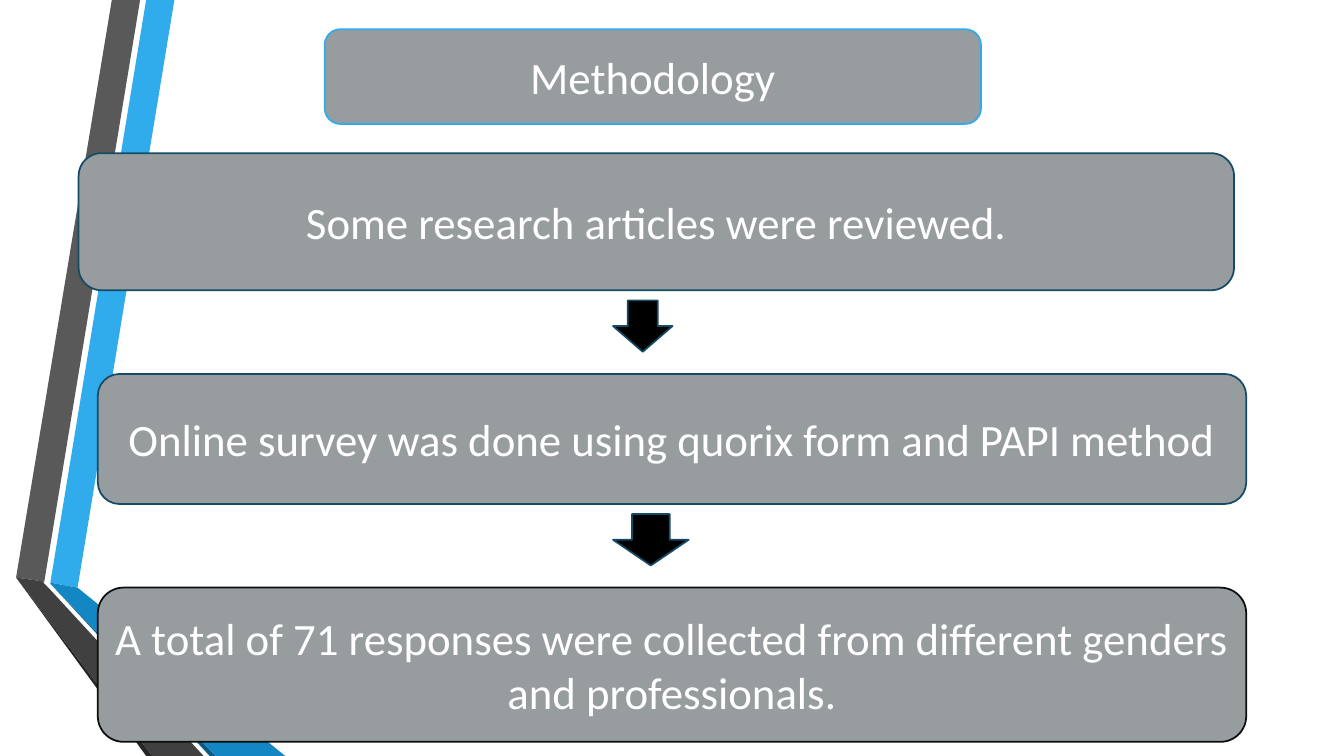
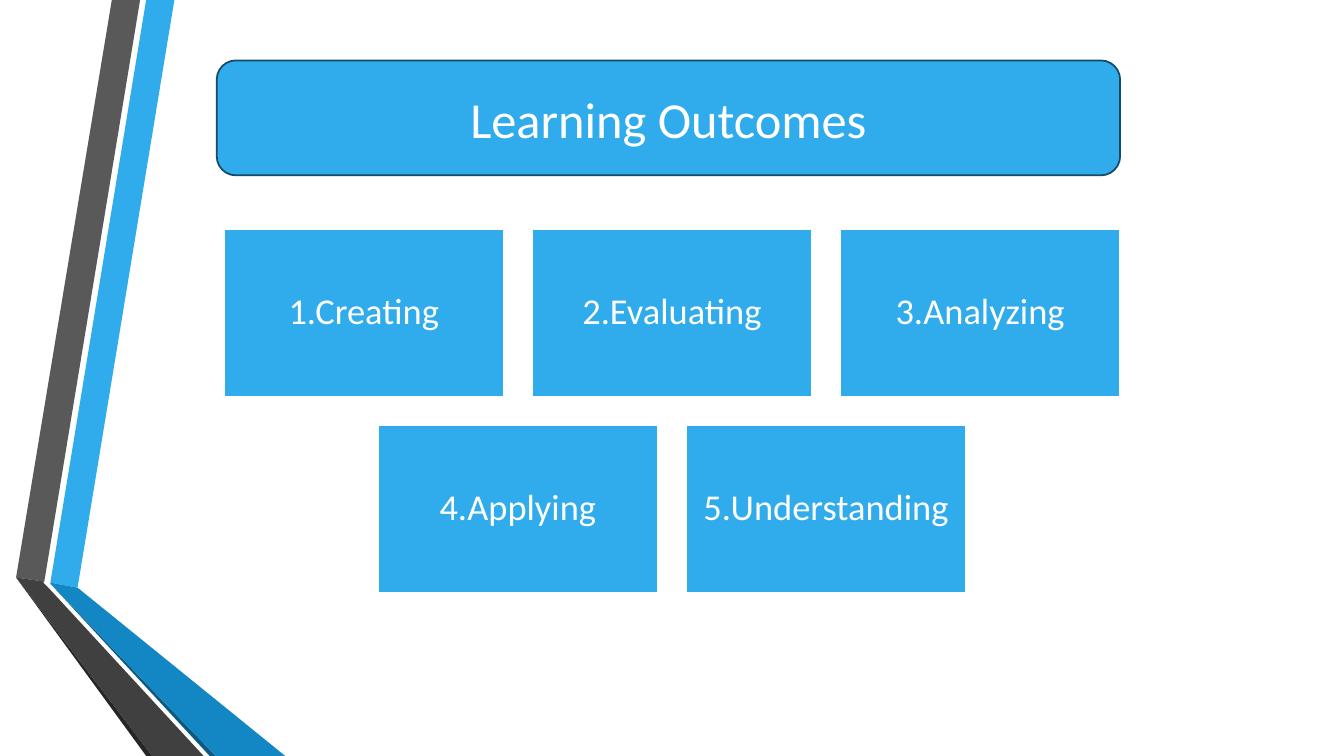
from dataclasses import dataclass

import pptx
import pptx.dml.color
import pptx.enum.shapes
import pptx.enum.text
import pptx.util

Inches = pptx.util.Inches
Preset = pptx.enum.shapes.MSO_SHAPE


@dataclass(frozen=True)
class Theme:
    """Colours, font and type sizes of the deck."""

    sky: str = "30ACEC"
    blue: str = "1287C3"
    deep_blue: str = "0C5A82"
    navy: str = "154B67"
    gray: str = "979D9F"
    slate: str = "595959"
    charcoal: str = "404040"
    shadow: str = "262626"
    ink: str = "0D0D0D"
    black: str = "000000"
    white: str = "FFFFFF"
    font: str = "Calibri"
    heading_size: int = 36
    step_size: int = 32
    tile_size: int = 26
    outline: float = 1.25


@dataclass(frozen=True)
class Box:
    """A rectangle in inches."""

    left: float
    top: float
    width: float
    height: float

    def lengths(self):
        """Return the rectangle as four lengths."""
        return [Inches(value) for value in (self.left, self.top, self.width, self.height)]


THEME = Theme()

RIBBON = [
    (THEME.sky, [(0.5, 5.78), (0.77, 5.83), (1.73, 0), (1.45, 0)]),
    (THEME.slate, [(1.39, 0), (1.11, 0), (0.16, 5.73), (0.44, 5.77)]),
    (THEME.shadow, [(0.16, 5.73), (1.45, 7.5), (1.51, 7.5)]),
    (THEME.deep_blue, [(0.5, 5.79), (2.08, 7.5), (2.14, 7.5)]),
    (THEME.blue, [(0.5, 5.79), (2.14, 7.5), (2.83, 7.5), (0.77, 5.83), (0.5, 5.78)]),
    (THEME.charcoal, [(2.02, 7.5), (0.48, 5.83), (0.43, 5.78), (0.44, 5.77),
                      (0.16, 5.73), (1.51, 7.5)]),
]


def color(code):
    """Turn a hex code into a colour."""
    return pptx.dml.color.RGBColor.from_string(code)


def paint(shape, fill, line=None):
    """Give a shape a flat fill and an optional outline."""
    shape.shadow.inherit = False
    shape.fill.solid()
    shape.fill.fore_color.rgb = color(fill)
    if line:
        shape.line.color.rgb = color(line)
        shape.line.width = pptx.util.Pt(THEME.outline)
    else:
        shape.line.fill.background()


def write(shape, text, size, side=0.1, edge=0.05):
    """Write centred white text into a shape with the given margins."""
    frame = shape.text_frame
    frame.text = text
    frame.word_wrap = True
    frame.auto_size = pptx.enum.text.MSO_AUTO_SIZE.NONE
    frame.vertical_anchor = pptx.enum.text.MSO_ANCHOR.MIDDLE
    frame.margin_left = frame.margin_right = Inches(side)
    frame.margin_top = frame.margin_bottom = Inches(edge)
    para = frame.paragraphs[0]
    para.alignment = pptx.enum.text.PP_ALIGN.CENTER
    para.font.name = THEME.font
    para.font.size = pptx.util.Pt(size)
    para.font.color.rgb = color(THEME.white)
    return para


def add_panel(page, preset, box, fill, line):
    """Add a flat preset shape."""
    panel = page.shapes.add_shape(preset, *box.lengths())
    paint(panel, fill, line)
    return panel


def add_ribbon(deck, page):
    """Draw the folded ribbon and move it to the back of the slide master."""
    tree = deck.slide_master.element.cSld.spTree
    for index, (fill, points) in enumerate(RIBBON):
        start, *rest = [(Inches(x), Inches(y)) for x, y in points]
        builder = page.shapes.build_freeform(*start, scale=1.0)
        builder.add_line_segments(rest, close=True)
        band = builder.convert_to_shape()
        paint(band, fill)
        band.element.nvSpPr.cNvPr.set("id", str(100 + index))
        tree.insert(2 + index, band.element)


def add_heading(page, box, text, size, fill, line):
    """Set the title placeholder on a rounded banner."""
    banner = add_panel(page, Preset.ROUNDED_RECTANGLE, box, fill, line)
    title = page.shapes.title
    title.left, title.top, title.width, title.height = box.lengths()
    title.element.addprevious(banner.element)
    write(title, text, size)


def add_step(page, box, text, line, arrow_width=None):
    """Add a process step and the arrow that leads on from it."""
    step = add_panel(page, Preset.ROUNDED_RECTANGLE, box, THEME.gray, line)
    write(step, text, THEME.step_size, side=0.07)
    if arrow_width:
        arrow_box = Box(6.08, box.top + box.height + 0.1, arrow_width, 0.51)
        add_panel(page, Preset.DOWN_ARROW, arrow_box, THEME.black, THEME.navy)


def add_tiles(page, area, rows, gap=0.28):
    """Fill an area with centred rows of equal tiles."""
    columns = max(len(row) for row in rows)
    width = (area.width - gap * (columns - 1)) / columns
    height = (area.height - gap * (len(rows) - 1)) / len(rows)
    for row_index, row in enumerate(rows):
        indent = (columns - len(row)) * (width + gap) / 2
        for column, text in enumerate(row):
            box = Box(area.left + indent + column * (width + gap),
                      area.top + row_index * (height + gap), width, height)
            tile = add_panel(page, Preset.RECTANGLE, box, THEME.sky, THEME.white)
            para = write(tile, text, THEME.tile_size, side=0.11, edge=0.11)
            para.line_spacing = 0.9


def build_methodology(page):
    """Build the slide with the three research steps."""
    add_heading(page, Box(3.22, 0.29, 6.51, 0.94), "Methodology",
                THEME.step_size, THEME.gray, THEME.sky)
    add_step(page, Box(0.78, 1.52, 11.46, 1.36),
             "Some research articles were reviewed.", THEME.navy, 0.59)
    add_step(page, Box(0.97, 3.71, 11.39, 1.29),
             "Online survey was done using quorix form and PAPI method", THEME.navy, 0.75)
    add_step(page, Box(0.97, 5.83, 11.39, 1.53),
             "A total of 71 responses were collected from different genders "
             "and professionals.", THEME.ink)


def build_outcomes(page):
    """Build the slide with the learning outcomes."""
    add_heading(page, Box(2.15, 0.6, 8.96, 1.14), "Learning Outcomes",
                THEME.heading_size, THEME.sky, THEME.navy)
    add_tiles(page, Box(2.22, 2.27, 8.89, 3.61),
              [["1.Creating", "2.Evaluating", "3.Analyzing"],
               ["4.Applying", "5.Understanding"]])


def main():
    """Build and save the deck."""
    deck = pptx.Presentation()
    deck.slide_width, deck.slide_height = Inches(13.33), Inches(7.5)
    title_only = deck.slide_layouts[5]
    pages = [deck.slides.add_slide(title_only) for _ in range(2)]
    add_ribbon(deck, pages[0])
    build_methodology(pages[0])
    build_outcomes(pages[1])
    deck.save("out.pptx")


if __name__ == "__main__":
    main()
